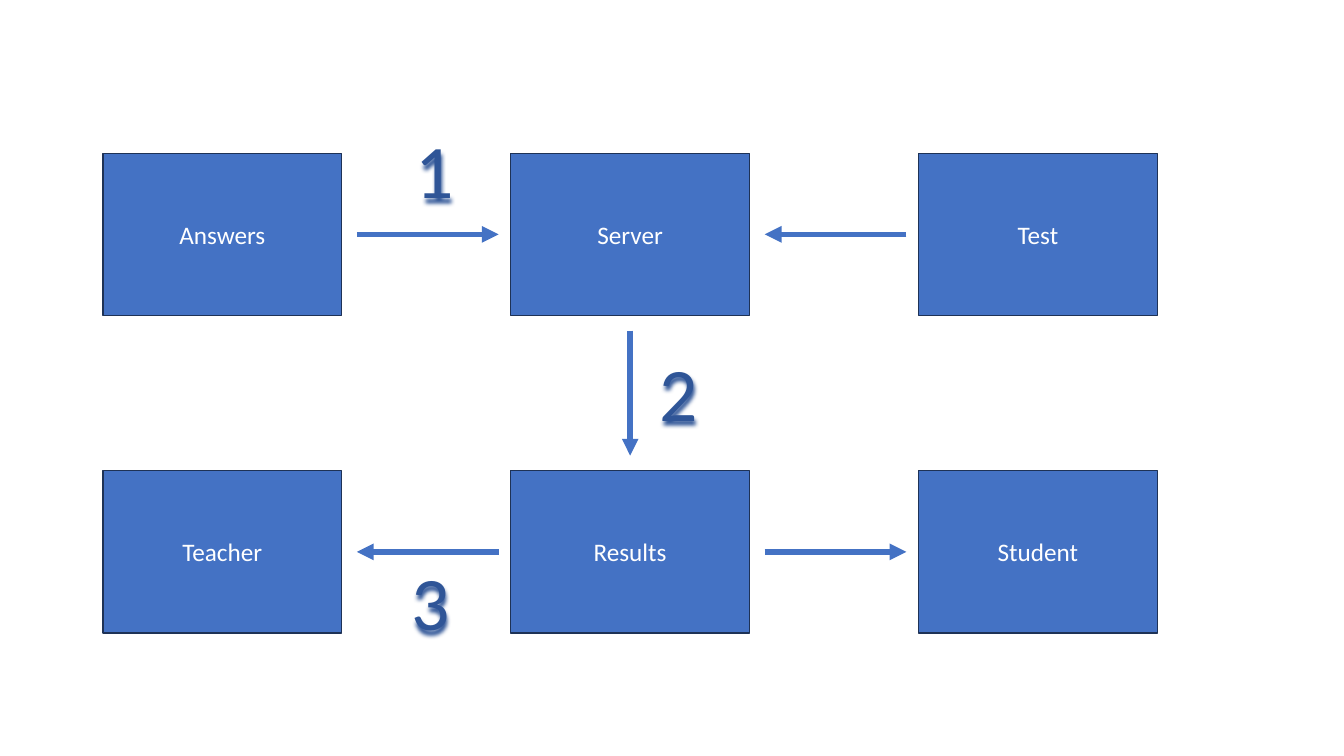
import lxml.etree
import pptx
import pptx.dml.color
import pptx.enum.shapes
import pptx.enum.text
import pptx.oxml.ns
import pptx.util

BLUE = pptx.dml.color.RGBColor(0x44, 0x72, 0xC4)
NAVY = pptx.dml.color.RGBColor(0x1E, 0x32, 0x56)
DEEP_BLUE = pptx.dml.color.RGBColor(0x2F, 0x55, 0x97)
WHITE = pptx.dml.color.RGBColor(0xFF, 0xFF, 0xFF)

# Grid of boxes, in inches
LEFT, TOP = 1.02, 1.52
BOX_WIDTH, BOX_HEIGHT = 2.37, 1.61
COLUMN_STEP, ROW_STEP = (9.11 - LEFT) / 2, 3.15
GAP_BEFORE, GAP_AFTER = 0.15, 0.12
STEP_WIDTH, STEP_HEIGHT = 0.59, 1.01

BOXES = [
    ("Answers", 0, 0), ("Server", 1, 0), ("Test", 2, 0),
    ("Teacher", 0, 1), ("Results", 1, 1), ("Student", 2, 1),
]
# Start and end cells as (column, row)
ARROWS = [
    ((0, 0), (1, 0)), ((2, 0), (1, 0)), ((1, 0), (1, 1)),
    ((1, 1), (0, 1)), ((1, 1), (2, 1)),
]
# Left and top as column and row positions on the grid
STEPS = [("1", 0.74, -0.11), ("2", 1.34, 0.59), ("3", 0.73, 1.25)]


class FlowSlide:
    def __init__(self, slide, font="Calibri"):
        self.slide = slide
        self.font = font

    def point(self, column, row):
        """Return the top left corner of a grid position."""
        return (pptx.util.Inches(LEFT + column * COLUMN_STEP),
                pptx.util.Inches(TOP + row * ROW_STEP))

    def effects(self, shape):
        """Add an empty effect list, which also turns off the theme shadow."""
        properties = shape._element.spPr
        return lxml.etree.SubElement(properties, pptx.oxml.ns.qn("a:effectLst"))

    def add_text(self, shape, text, size, color):
        para = shape.text_frame.paragraphs[0]
        para.alignment = pptx.enum.text.PP_ALIGN.CENTER
        span = para.add_run()
        span.text = text
        span.font.name = self.font
        span.font.size = pptx.util.Pt(size)
        span.font.color.rgb = color

    def box(self, text, column, row):
        box = self.slide.shapes.add_shape(
            pptx.enum.shapes.MSO_SHAPE.RECTANGLE, *self.point(column, row),
            pptx.util.Inches(BOX_WIDTH), pptx.util.Inches(BOX_HEIGHT))
        box.shadow.inherit = False
        box.fill.solid()
        box.fill.fore_color.rgb = BLUE
        box.line.color.rgb = NAVY
        box.line.width = pptx.util.Pt(1)
        box.text_frame.vertical_anchor = pptx.enum.text.MSO_ANCHOR.MIDDLE
        self.add_text(box, text, 18, WHITE)

    def arrow(self, start, end):
        """Join two neighbouring cells across the gap between their boxes."""
        first, second = sorted((start, end))
        left, top = self.point(*first)
        right, bottom = self.point(*second)
        width, height = pptx.util.Inches(BOX_WIDTH), pptx.util.Inches(BOX_HEIGHT)
        before, after = pptx.util.Inches(GAP_BEFORE), pptx.util.Inches(GAP_AFTER)
        if first[1] == second[1]:
            middle = top + height // 2
            ends = [(left + width + before, middle), (right - after, middle)]
        else:
            middle = left + width // 2
            ends = [(middle, top + height + before), (middle, bottom - before)]
        if start != first:
            ends.reverse()
        arrow = self.slide.shapes.add_connector(
            pptx.enum.shapes.MSO_CONNECTOR.STRAIGHT, *ends[0], *ends[1])
        arrow.line.color.rgb = BLUE
        arrow.line.width = pptx.util.Pt(4)
        lxml.etree.SubElement(arrow.line._get_or_add_ln(),
                              pptx.oxml.ns.qn("a:tailEnd"), type="triangle")
        self.effects(arrow)

    def step(self, text, column, row):
        """Place a large step number with a soft shadow."""
        box = self.slide.shapes.add_textbox(
            *self.point(column, row),
            pptx.util.Inches(STEP_WIDTH), pptx.util.Inches(STEP_HEIGHT))
        box.text_frame.word_wrap = False
        box.text_frame.auto_size = pptx.enum.text.MSO_AUTO_SIZE.SHAPE_TO_FIT_TEXT
        self.add_text(box, text, 54, DEEP_BLUE)
        shadow = lxml.etree.SubElement(
            self.effects(box), pptx.oxml.ns.qn("a:outerShdw"),
            blurRad=str(pptx.util.Pt(3)), dist=str(pptx.util.Pt(3)),
            dir="4800000", algn="ctr", rotWithShape="0")
        lxml.etree.SubElement(shadow, pptx.oxml.ns.qn("a:srgbClr"),
                              val=str(DEEP_BLUE))


def main():
    deck = pptx.Presentation()
    deck.slide_width = pptx.util.Inches(13.33)
    deck.slide_height = pptx.util.Inches(7.5)
    page = FlowSlide(deck.slides.add_slide(deck.slide_layouts[6]))
    for box in BOXES:
        page.box(*box)
    for arrow in ARROWS:
        page.arrow(*arrow)
    for step in STEPS:
        page.step(*step)
    deck.save("out.pptx")


if __name__ == "__main__":
    main()
